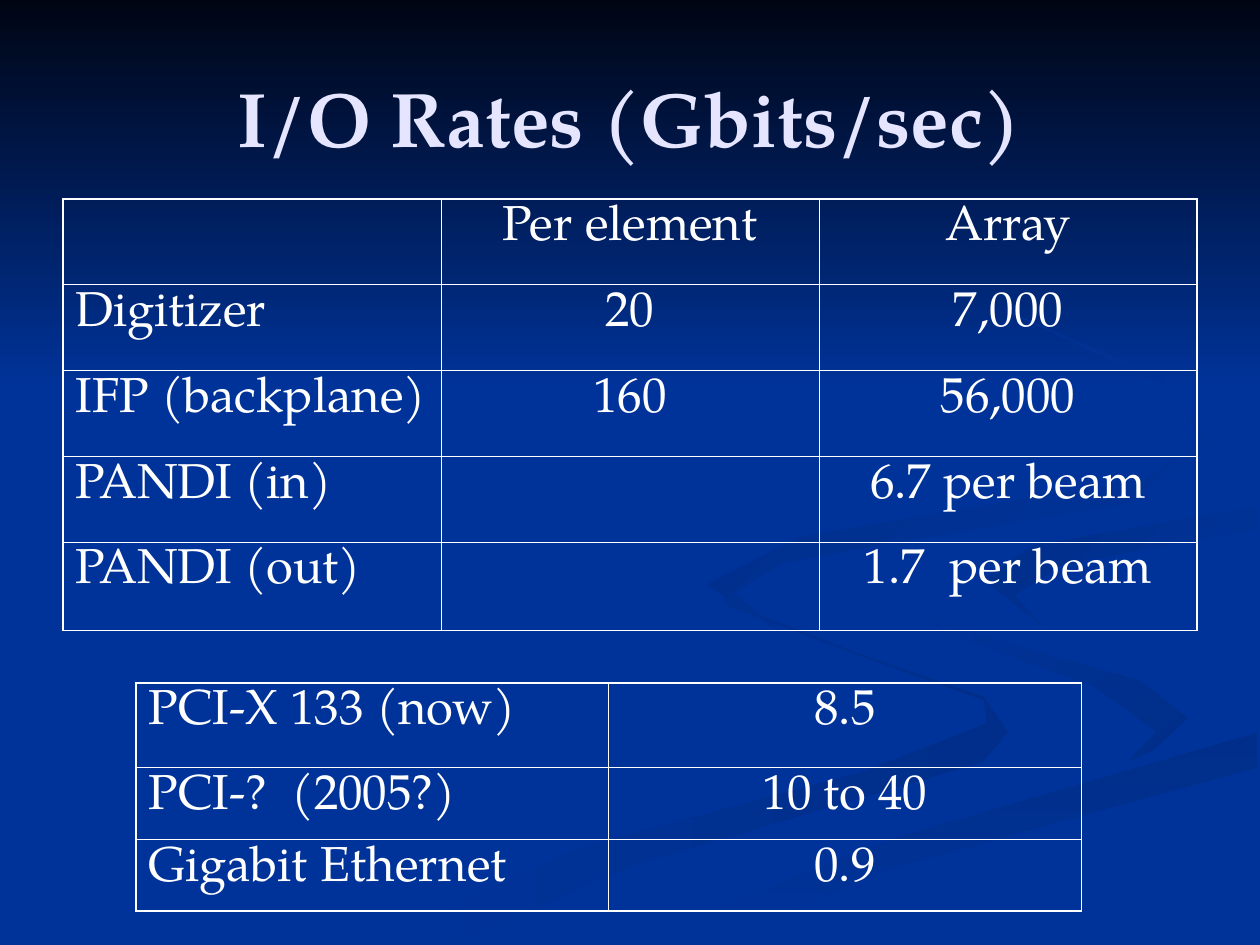
"""Build the I/O rates slide: two bordered tables over a blue swirl backdrop."""
from dataclasses import dataclass

from lxml import etree
from pptx import Presentation
from pptx import util as u
from pptx.dml.color import RGBColor
from pptx.enum import shapes, text
from pptx.oxml.ns import qn


@dataclass(frozen=True)
class Theme:
    font: str = "TeX Gyre Pagella"
    night: str = "000514"
    blue: str = "003399"
    shade: str = "002E8A"
    title: str = "E5E5FF"
    white: str = "FFFFFF"
    title_size: int = 44
    cell_size: int = 28
    outer_line: float = 1.08
    inner_line: float = 0.45


theme = Theme()


def paint(shape, first, last, angle):
    shape.shadow.inherit = False
    shape.line.fill.background()
    shape.fill.gradient()
    shape.fill.gradient_angle = angle
    for stop, color in zip(shape.fill.gradient_stops, (first, last)):
        stop.color.rgb = RGBColor.from_string(color)


def add_span(para, words, size, color, bold=False):
    span = para.add_run()
    span.text = words
    span.font.name = theme.font
    span.font.size = u.Pt(size)
    span.font.bold = bold
    span.font.color.rgb = RGBColor.from_string(color)


deck = Presentation()
deck.slide_width, deck.slide_height = u.Cm(25.4), u.Cm(19.05)
page = deck.slides.add_slide(deck.slide_layouts[5])
page.background.fill.solid()
page.background.fill.fore_color.rgb = RGBColor.from_string(theme.blue)

band = page.shapes.add_shape(shapes.MSO_SHAPE.RECTANGLE, 0, 0, deck.slide_width, u.Cm(7.82))
paint(band, theme.night, theme.blue, 270)

swirls = [
    (theme.shade, theme.blue, 180, [
        (781, 553), (682, 519), (594, 485), (575, 459), (576, 480), (679, 519), (781, 556),
        (783, 574), (684, 613), (458, 674), (300, 749), (361, 749), (499, 687), (780, 605),
        (800, 581)]),
    (theme.shade, theme.blue, 135, [
        (943, 570), (905, 540), (792, 509), (724, 464), (746, 500), (868, 544), (918, 581),
        (894, 605), (937, 586)]),
    (theme.shade, theme.blue, 270, [
        (503, 749), (571, 749), (695, 692), (998, 609), (998, 581), (764, 647), (599, 706)]),
    (theme.blue, theme.blue, 0, [
        (725, 464), (759, 498), (905, 540), (943, 570), (911, 600), (704, 655), (477, 749),
        (503, 749), (696, 669), (999, 581), (999, 538), (817, 492), (781, 463), (822, 434),
        (999, 402), (999, 387), (770, 427)]),
    (theme.blue, theme.shade, 135, [
        (781, 460), (826, 496), (805, 472), (843, 448), (998, 420), (998, 402), (821, 433)]),
    (theme.blue, theme.shade, 135, [
        (695, 433), (894, 400), (960, 351), (922, 300), (795, 245), (929, 308), (953, 348),
        (908, 380), (636, 426), (561, 464), (618, 500), (582, 471), (620, 447)]),
]
hundredth_inch = u.Cm(2.54) / 100
for first, last, angle, points in swirls:
    builder = page.shapes.build_freeform(*points[0], scale=hundredth_inch)
    builder.add_line_segments(points[1:], close=True)
    paint(builder.convert_to_shape(), first, last, angle)

title = page.shapes.title
title.element.getparent().append(title.element)
title.left, title.top, title.width, title.height = u.Cm(1.27), u.Cm(0.76), u.Cm(22.86), u.Cm(3.18)
title.text_frame.auto_size = text.MSO_AUTO_SIZE.NONE
title.text_frame.vertical_anchor = text.MSO_ANCHOR.MIDDLE
title_para = title.text_frame.paragraphs[0]
title_para.alignment = text.PP_ALIGN.CENTER
add_span(title_para, "I/O Rates (Gbits/sec)", theme.title_size, theme.title, bold=True)

tables = [
    (1.27, 4.01, 7.62, [1.73, 1.73, 1.73, 1.73, 1.78], [
        ("", "Per element", "Array"),
        ("Digitizer", "20", "7,000"),
        ("IFP (backplane)", "160", "56,000"),
        ("PANDI (in)", "", "6.7 per beam"),
        ("PANDI (out)", "", "1.7  per beam")]),
    (2.74, 13.77, 9.53, [1.7, 1.45, 1.45], [
        ("PCI-X 133 (now)", "8.5"),
        ("PCI-?  (2005?)", "10 to 40"),
        ("Gigabit Ethernet", "0.9")]),
]
for left, top, column_width, heights, rows in tables:
    row_count, column_count = len(rows), len(rows[0])
    table = page.shapes.add_table(
        row_count, column_count, u.Cm(left), u.Cm(top),
        u.Cm(column_width * column_count), u.Cm(sum(heights))).table
    table.first_row = table.horz_banding = False
    for column in table.columns:
        column.width = u.Cm(column_width)
    for r, (height, row) in enumerate(zip(heights, rows)):
        table.rows[r].height = u.Cm(height)
        for c, words in enumerate(row):
            cell = table.cell(r, c)
            edges = {"L": c == 0, "R": c == column_count - 1, "T": r == 0, "B": r == row_count - 1}
            for side, outer in edges.items():
                width = u.Pt(theme.outer_line if outer else theme.inner_line)
                line = etree.SubElement(
                    cell._tc.get_or_add_tcPr(), qn(f"a:ln{side}"), w=str(int(width)))
                fill = etree.SubElement(line, qn("a:solidFill"))
                etree.SubElement(fill, qn("a:srgbClr"), val=theme.white)
            cell.fill.background()
            if words:
                para = cell.text_frame.paragraphs[0]
                para.alignment = text.PP_ALIGN.CENTER if c else text.PP_ALIGN.LEFT
                add_span(para, words, theme.cell_size, theme.white)

deck.save("out.pptx")
